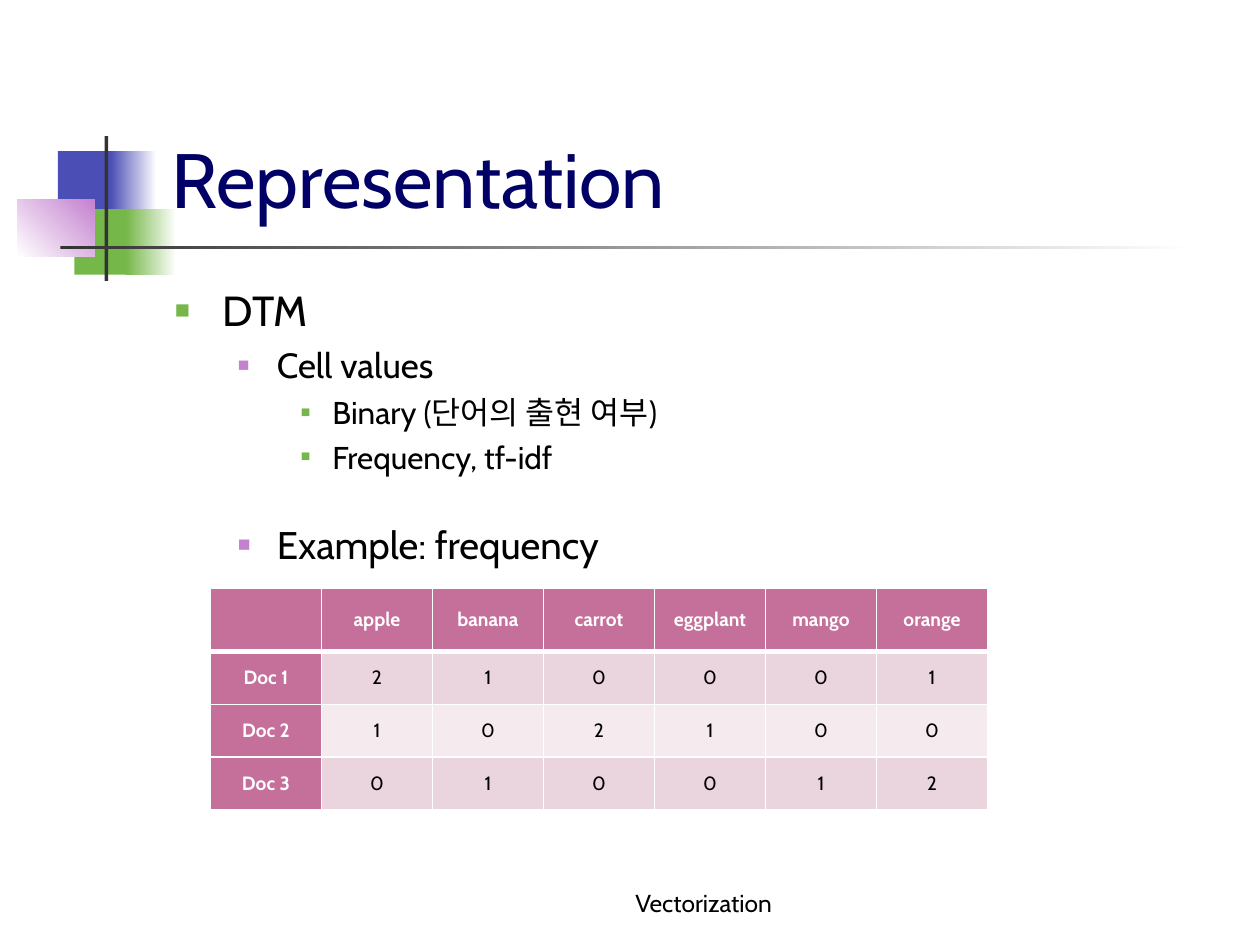
"""Build the Representation slide with an outline and a document-term matrix."""
from lxml import etree
from pptx import Presentation
from pptx import util as u
from pptx.dml.color import RGBColor
from pptx.enum import shapes, text
from pptx.oxml.ns import qn

FONT = "Cabin"
BLUE = RGBColor(0x4B, 0x4E, 0xB5)
GREEN = RGBColor(0x76, 0xB7, 0x49)
LILAC = RGBColor(0xC4, 0x81, 0xCF)
CHARCOAL = RGBColor(0x33, 0x33, 0x33)
NAVY = RGBColor(0x00, 0x00, 0x66)
BLACK = RGBColor(0, 0, 0)
WHITE = RGBColor(0xFF, 0xFF, 0xFF)
ROSE = RGBColor(0xC4, 0x70, 0x9A)
BANDS = [RGBColor(0xEA, 0xD5, 0xDE), RGBColor(0xF5, 0xEB, 0xEF)]

DECORATIONS = [
    ((0.46, 1.2, 0.48, 0.52), BLUE, BLUE, 0),
    ((0.88, 1.2, 0.36, 0.52), BLUE, WHITE, 0),
    ((0.59, 1.66, 0.46, 0.52), GREEN, GREEN, 0),
    ((1, 1.66, 0.4, 0.52), GREEN, WHITE, 0),
    ((0.14, 1.58, 0.61, 0.46), WHITE, LILAC, 45),
    ((0.83, 1.08, 0.03, 1.15), CHARCOAL, CHARCOAL, 0),
    ((0.48, 1.95, 9, 0.03), CHARCOAL, WHITE, 0),
]
LEVELS = [(0.38, 0.38, GREEN, 60), (0.81, 0.31, LILAC, 55), (1.25, 0.25, GREEN, 50)]
OUTLINE = [
    (0, "DTM", 24, 6),
    (1, "Cell values", 20, 5),
    (2, "Binary (단어의 출현 여부)", 18, 4),
    (2, "Frequency, tf-idf", 18, 4),
    (1, "Example: frequency", 22, 26),
]
MATRIX = [
    ["", "apple", "banana", "carrot", "eggplant", "mango", "orange"],
    ["Doc 1", 2, 1, 0, 0, 0, 1],
    ["Doc 2", 1, 0, 2, 1, 0, 0],
    ["Doc 3", 0, 1, 0, 0, 1, 2],
]
HEADER_HEIGHT, ROW_HEIGHT = 0.5, 0.42


def inches(box):
    return [u.Inches(value) for value in box]


def add_decoration(slide, box, start, end, angle):
    shape = slide.shapes.add_shape(shapes.MSO_SHAPE.RECTANGLE, *inches(box))
    shape.shadow.inherit = False
    shape.line.fill.background()
    if start == end:
        shape.fill.solid()
        shape.fill.fore_color.rgb = start
        return
    shape.fill.gradient()
    shape.fill.gradient_angle = angle
    for stop, color in zip(shape.fill.gradient_stops, (start, end)):
        stop.color.rgb = color


def add_run(paragraph, words, size, color, bold=False):
    run = paragraph.add_run()
    run.text = words
    run.font.name = FONT
    run.font.size = u.Pt(size)
    run.font.bold = bold
    run.font.color.rgb = color


def add_text_frame(slide, box, anchor):
    frame = slide.shapes.add_textbox(*inches(box)).text_frame
    frame.word_wrap = True
    frame.vertical_anchor = anchor
    return frame


def set_bullet(paragraph, level):
    margin, hanging, color, percent = LEVELS[level]
    properties = paragraph._p.get_or_add_pPr()
    properties.set("marL", str(u.Inches(margin)))
    properties.set("indent", str(-u.Inches(hanging)))
    bullet_color = etree.SubElement(properties, qn("a:buClr"))
    etree.SubElement(bullet_color, qn("a:srgbClr"), val=str(color))
    etree.SubElement(properties, qn("a:buSzPct"), val=str(percent * 1000))
    etree.SubElement(properties, qn("a:buFont"), typeface="Arial")
    etree.SubElement(properties, qn("a:buChar"), char="■")


def add_outline(slide):
    frame = add_text_frame(slide, (1.29, 2.21, 8.5, 4.5), text.MSO_ANCHOR.TOP)
    for index, (level, words, size, gap) in enumerate(OUTLINE):
        paragraph = frame.add_paragraph() if index else frame.paragraphs[0]
        paragraph.level = level
        paragraph.space_before = u.Pt(gap)
        set_bullet(paragraph, level)
        add_run(paragraph, words, size, BLACK)


def set_borders(cell, widths):
    properties = cell._tc.get_or_add_tcPr()
    for index, (side, width) in enumerate(widths.items()):
        line = etree.Element(qn(f"a:ln{side}"), w=str(u.Pt(width)))
        fill = etree.SubElement(line, qn("a:solidFill"))
        etree.SubElement(fill, qn("a:srgbClr"), val=str(WHITE))
        properties.insert(index, line)


def add_matrix(slide):
    rows, columns = len(MATRIX), len(MATRIX[0])
    height = HEADER_HEIGHT + ROW_HEIGHT * (rows - 1)
    box = inches((1.67, 4.67, 6.17, height))
    table = slide.shapes.add_table(rows, columns, *box).table
    for r, values in enumerate(MATRIX):
        table.rows[r].height = u.Inches(ROW_HEIGHT if r else HEADER_HEIGHT)
        for c, value in enumerate(values):
            heading = r == 0 or c == 0
            cell = table.cell(r, c)
            cell.fill.solid()
            cell.fill.fore_color.rgb = ROSE if heading else BANDS[(r - 1) % 2]
            cell.vertical_anchor = text.MSO_ANCHOR.MIDDLE
            top, bottom = 3 if r == 1 else 1, 3 if r == 0 else 1
            set_borders(cell, {"L": 1, "R": 1, "T": top, "B": bottom})
            if value != "":
                paragraph = cell.text_frame.paragraphs[0]
                paragraph.alignment = text.PP_ALIGN.CENTER
                add_run(paragraph, str(value), 11, WHITE if heading else BLACK, heading)


def main():
    presentation = Presentation()
    presentation.slide_width, presentation.slide_height = inches((10, 7.5))
    slide = presentation.slides.add_slide(presentation.slide_layouts[6])
    for decoration in DECORATIONS:
        add_decoration(slide, *decoration)
    title = add_text_frame(slide, (1.26, 0.23, 8.52, 1.6), text.MSO_ANCHOR.BOTTOM)
    add_run(title.paragraphs[0], "Representation", 44, NAVY)
    add_outline(slide)
    footer = add_text_frame(slide, (4, 6.83, 3.17, 0.5), text.MSO_ANCHOR.BOTTOM)
    footer.paragraphs[0].alignment = text.PP_ALIGN.CENTER
    add_run(footer.paragraphs[0], "Vectorization", 14, BLACK)
    add_matrix(slide)
    presentation.save("out.pptx")


if __name__ == "__main__":
    main()
